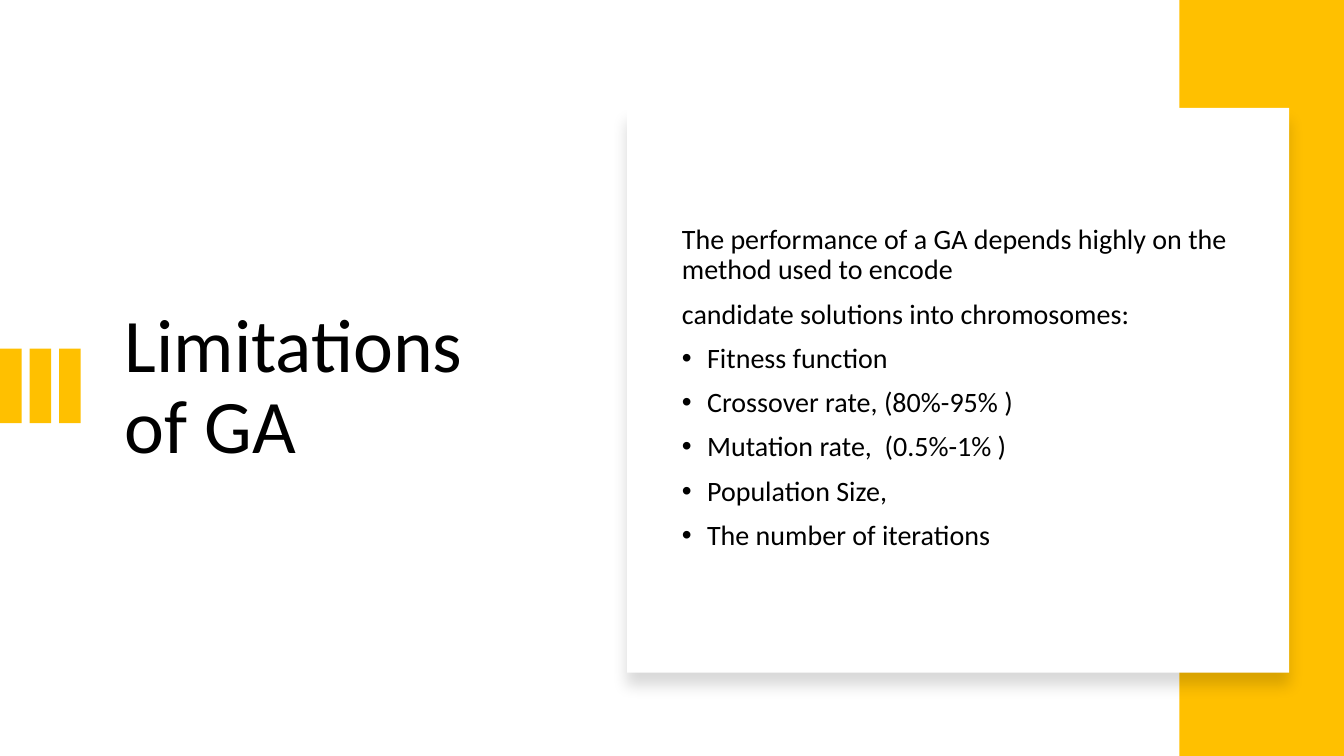
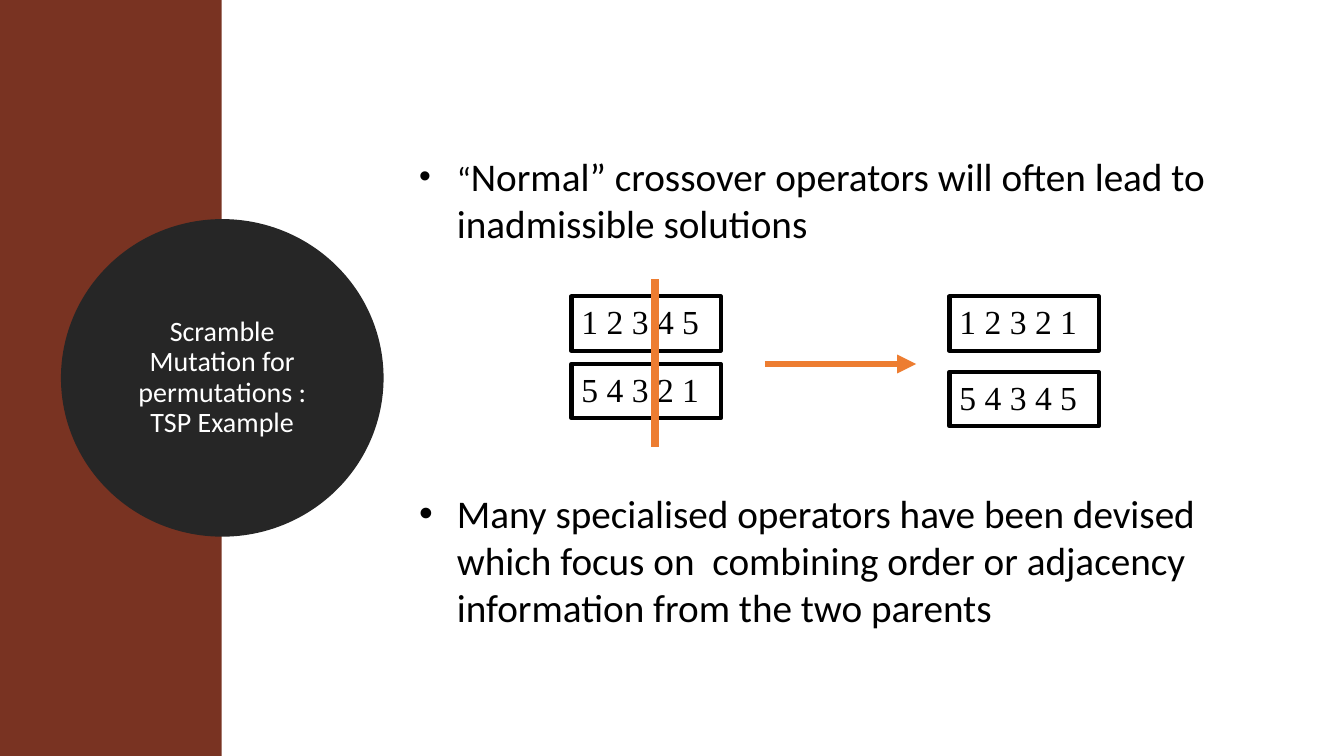
import pptx
import pptx.util
import pptx.dml.color
import pptx.enum.shapes
import pptx.enum.text
import pptx.oxml
import pptx.oxml.ns

Pt = pptx.util.Pt
SHAPE = pptx.enum.shapes.MSO_SHAPE
ANCHOR = pptx.enum.text.MSO_ANCHOR
ALIGN = pptx.enum.text.PP_ALIGN
W, H = 960, 540
COLORS = {"text": "000000", "white": "FFFFFF", "gold": "FFC000",
          "brown": "793322", "dark": "262626", "orange": "ED7D31"}


def rgb(name):
    return pptx.dml.color.RGBColor.from_string(COLORS[name])


def add_xml(parent, xml):
    """Append a DrawingML element, given without its namespace declaration."""
    head, rest = xml.split(" ", 1)
    parent.append(pptx.oxml.parse_xml(f"{head} {pptx.oxml.ns.nsdecls('a')} {rest}"))


def write(tf, text, size=20, font="Calibri", color="text", align=ALIGN.LEFT,
          line=None, before=0, bullet=None, indent=0):
    """Add a paragraph; text is a string or a list of (text, size) runs."""
    first = not tf.paragraphs[0].runs
    p = tf.paragraphs[0] if first else tf.add_paragraph()
    p.alignment = align
    p.space_before = Pt(0 if first else before)
    if line:
        p.line_spacing = line
    if bullet:
        pPr = p._p.get_or_add_pPr()
        pPr.set("marL", str(Pt(indent)))
        pPr.set("indent", str(-Pt(indent)))
        add_xml(pPr, '<a:buFont typeface="Arial"/>')
        add_xml(pPr, f'<a:buChar char="{bullet}"/>')
    for part, part_size in ([(text, size)] if isinstance(text, str) else text):
        r = p.add_run()
        r.text = part
        r.font.size, r.font.name = Pt(part_size), font
        r.font.color.rgb = rgb(color)


class Deck:
    """Holds the presentation, its style and the current slide."""

    def __init__(self):
        self.prs = pptx.Presentation()
        self.prs.slide_width, self.prs.slide_height = Pt(W), Pt(H)

    def slide(self):
        self.s = self.prs.slides.add_slide(self.prs.slide_layouts[6])

    def shape(self, x, y, w, h, fill=None, kind=SHAPE.RECTANGLE,
              line=None, width=1, anchor=ANCHOR.MIDDLE):
        sp = self.s.shapes.add_shape(kind, Pt(x), Pt(y), Pt(w), Pt(h))
        sp.shadow.inherit = False
        if fill:
            sp.fill.solid()
            sp.fill.fore_color.rgb = rgb(fill)
        else:
            sp.fill.background()
        if line:
            sp.line.color.rgb = rgb(line)
            sp.line.width = Pt(width)
        else:
            sp.line.fill.background()
        sp.text_frame.word_wrap = True
        sp.text_frame.vertical_anchor = anchor
        return sp

    def card(self, x, y, w, h):
        sp = self.shape(x, y, w, h, "white")
        effects = sp._element.spPr.find(pptx.oxml.ns.qn("a:effectLst"))
        add_xml(effects, f'<a:outerShdw blurRad="{Pt(11)}" dist="{Pt(10)}" '
                         'dir="5400000" algn="t" rotWithShape="0"><a:srgbClr val="000000">'
                         '<a:alpha val="15000"/></a:srgbClr></a:outerShdw>')

    def textbox(self, x, y, w, h, anchor=ANCHOR.TOP):
        tf = self.s.shapes.add_textbox(Pt(x), Pt(y), Pt(w), Pt(h)).text_frame
        tf.word_wrap = True
        tf.vertical_anchor = anchor
        return tf

    def line(self, x1, y1, x2, y2, width, arrow=False):
        cx = self.s.shapes.add_connector(pptx.enum.shapes.MSO_CONNECTOR.STRAIGHT,
                                         Pt(x1), Pt(y1), Pt(x2), Pt(y2))
        cx.line.color.rgb = rgb("orange")
        cx.line.width = Pt(width)
        if arrow:
            add_xml(cx.line._get_or_add_ln(), '<a:tailEnd type="triangle"/>')
        add_xml(cx._element.spPr, "<a:effectLst />")

    def chromosome(self, x, y, genes):
        sp = self.shape(x, y, 106.6, 38.9, line="text", width=3, anchor=ANCHOR.TOP)
        write(sp.text_frame, genes, size=24, font="Times New Roman")


def limitations(d):
    d.slide()
    # Title and accent bars
    tf = d.textbox(82, 105, 307, 345, ANCHOR.MIDDLE)
    write(tf, "Limitations of GA", size=54, line=0.9)
    for i in range(3):
        d.shape(i * 21.1, 249, 15.4, 53.2, "gold")
    # Side band and card
    d.shape(842.4, 0, W - 842.4, H, "gold")
    d.card(447.9, 77, 473, 403.4)
    # Card text
    tf = d.textbox(480, 105, 414, 345, ANCHOR.MIDDLE)
    for text in ("The performance of a GA depends highly on the method used to encode",
                 "candidate solutions into chromosomes:"):
        write(tf, text, line=0.9, before=10)
    for text in ("Fitness function", "Crossover rate, (80%-95% )",
                 "Mutation rate,  (0.5%-1% )", "Population Size,",
                 "The number of iterations"):
        write(tf, text, line=0.9, before=10, bullet="•", indent=18)


def scramble_mutation(d):
    d.slide()
    # Side band and round title
    d.shape(0, 0, 158.4, H, "brown")
    sp = d.shape(50.4, 163.4, 216.7, 213.1, "dark", SHAPE.OVAL, "dark", 13.75)
    write(sp.text_frame, "Scramble Mutation for permutations : TSP Example",
          color="white", align=ALIGN.CENTER, line=0.9)
    # Bullets, with room for the diagram between them
    tf = d.textbox(292.3, 105.5, 630.7, 368)
    write(tf, [("“", 24), ("Normal” crossover operators will often lead to "
                           "inadmissible solutions", 28)], bullet="•", indent=27)
    write(tf, "Many specialised operators have been devised which focus on  combining "
              "order or adjacency information from the two parents",
          size=28, before=173, bullet="•", indent=27)
    # Parents and children
    for x, y, genes in ((408.2, 211.7, "1 2 3 4 5"), (408.2, 260, "5 4 3 2 1"),
                        (678.2, 211.7, "1 2 3 2 1"), (678.2, 265.7, "5 4 3 4 5")):
        d.chromosome(x, y, genes)
    # Crossover point and arrow
    d.line(468, 199.6, 468, 319.6, 6)
    d.line(546.4, 260, 654.4, 260, 4.5, arrow=True)


def main():
    d = Deck()
    limitations(d)
    scramble_mutation(d)
    d.prs.save("out.pptx")


if __name__ == "__main__":
    main()
